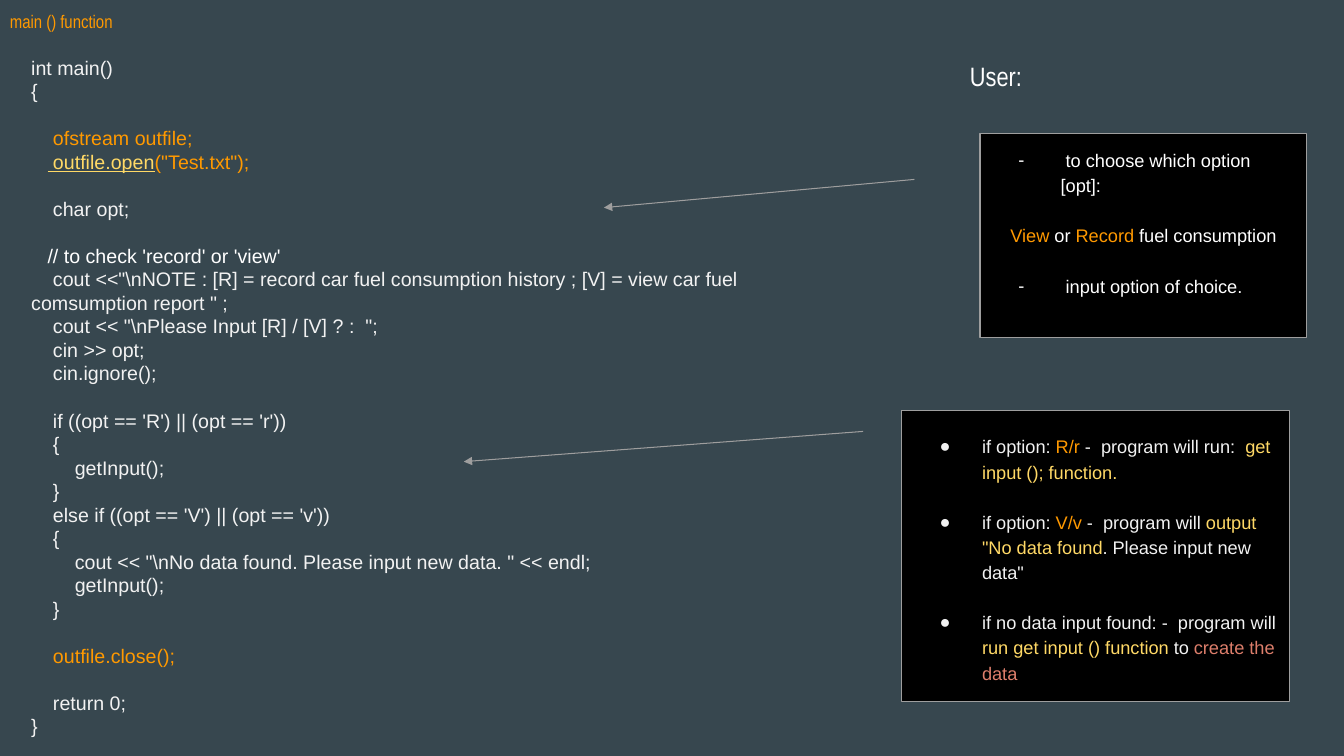
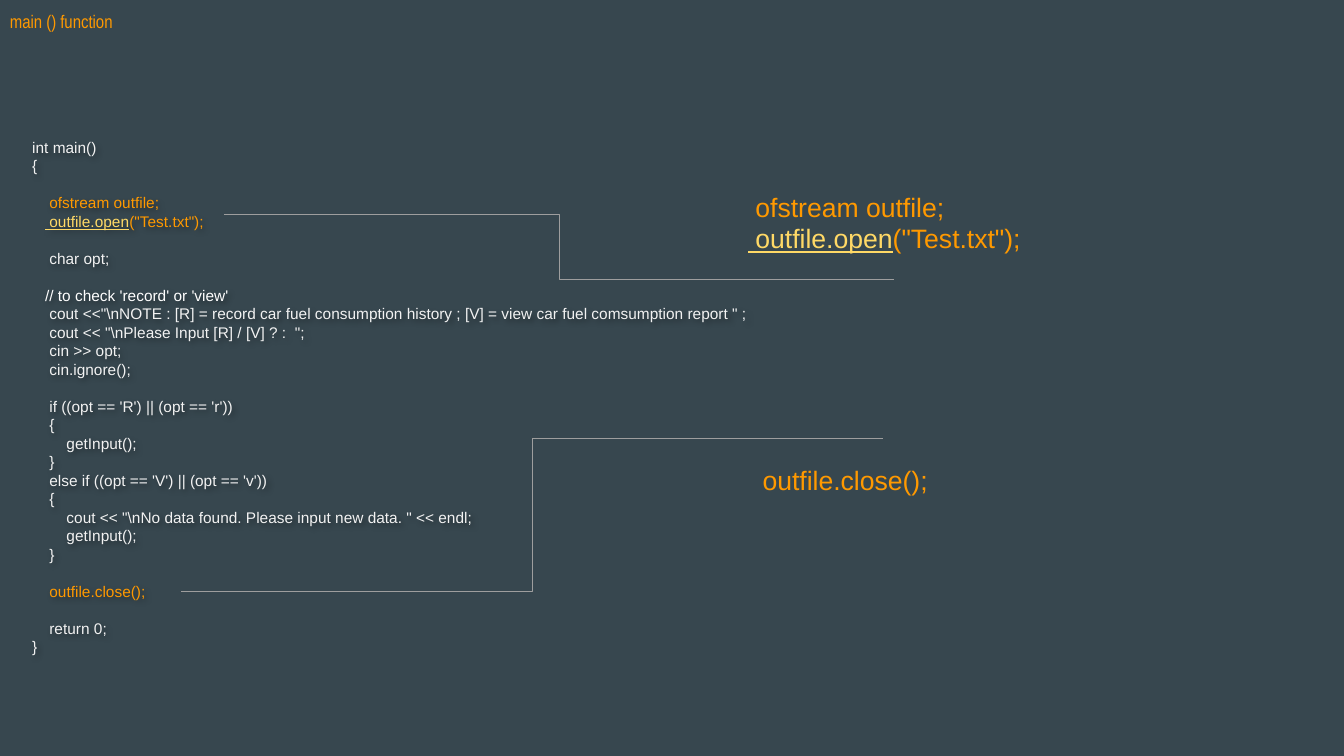
from pptx import Presentation
from pptx.dml.color import RGBColor
from pptx.enum.shapes import MSO_CONNECTOR, MSO_SHAPE
from pptx.enum.text import MSO_ANCHOR, PP_ALIGN
from pptx.oxml import parse_xml
from pptx.oxml.ns import nsdecls
from pptx.util import Inches, Pt

STRAIGHT, ELBOW = MSO_CONNECTOR.STRAIGHT, MSO_CONNECTOR.ELBOW
RECTANGLE = MSO_SHAPE.RECTANGLE
TOP = MSO_ANCHOR.TOP
LEFT, CENTER = PP_ALIGN.LEFT, PP_ALIGN.CENTER

SLATE, BLACK, GREY = "37474F", "000000", "9E9E9E"
WHITE, PALE = "FFFFFF", "F2F2F2"
ORANGE, YELLOW, RED = "FF9900", "FFD966", "DD7E6B"
SPACE_WIDTH = 0.278  # width of an Arial space, in ems
LEADING = 1.2

# Code lines: spaces of indent, blank lines before, then runs (text, colour, underline)
OPEN_FILE = [
    (4, 1, [("ofstream outfile;", ORANGE)]),
    (3, 0, [(" outfile.open", YELLOW, True), ("(\"Test.txt\");", ORANGE)]),
]
CLOSE_FILE = [(4, 1, [("outfile.close();", ORANGE)])]


def plain(indent, text, gap=0, color=PALE):
    return indent, gap, [(text, color)]


MAIN_CODE = [
    plain(0, "int main()"),
    plain(0, "{"),
    *OPEN_FILE,
    plain(4, "char opt;", 1),
    plain(3, "// to check 'record' or 'view'", 1, WHITE),
    plain(4, r'cout <<"\nNOTE : [R] = record car fuel consumption history ; '
             r'[V] = view car fuel comsumption report " ;'),
    plain(4, r'cout << "\nPlease Input [R] / [V] ? :  ";'),
    plain(4, "cin >> opt;"),
    plain(4, "cin.ignore();"),
    plain(4, "if ((opt == 'R') || (opt == 'r'))", 1),
    plain(4, "{"),
    plain(8, "getInput();"),
    plain(4, "}"),
    plain(4, "else if ((opt == 'V') || (opt == 'v'))"),
    plain(4, "{"),
    plain(8, r'cout << "\nNo data found. Please input new data. " << endl;'),
    plain(8, "getInput();"),
    plain(4, "}"),
    *CLOSE_FILE,
    plain(4, "return 0;", 1),
    plain(0, "}"),
]

# Note paragraphs: bullet or None, then runs
USER_NOTES = [
    ("-", [(" to choose which option [opt]:", WHITE)]),
    (None, [("View ", ORANGE), ("or ", WHITE), ("Record ", ORANGE),
            ("fuel consumption", WHITE)]),
    ("-", [(" input option of choice.", WHITE)]),
]
OPTION_NOTES = [
    ("●", [("if option: ", PALE), ("R/r ", ORANGE), ("-  program will run:  ", PALE),
           ("get input (); function.", YELLOW)]),
    ("●", [("if option: ", PALE), ("V/v ", ORANGE), ("-  program will ", PALE),
           ("output \"No data found", YELLOW), (". Please input new data\"", PALE)]),
    ("●", [("if no data input found: -  program will ", PALE),
           ("run get input () function", YELLOW), (" to ", PALE),
           ("create the data", RED)]),
]


def rgb(color):
    return RGBColor.from_string(color)


def box(*lengths):
    return [Inches(n) for n in lengths]


class Deck:
    """Holds the presentation, its style and the current slide."""

    def __init__(self):
        self.prs = Presentation()
        self.prs.slide_width, self.prs.slide_height = box(13.33, 7.5)
        self.s = None

    def slide(self, title):
        self.s = self.prs.slides.add_slide(self.prs.slide_layouts[6])
        fill = self.s.background.fill
        fill.solid()
        fill.fore_color.rgb = rgb(SLATE)
        self.label(title, (0, 0, 3.28, 0.42), 13, ORANGE, 0.1)

    def frame(self, sp, inset, top=None):
        """Prepare the text frame of a shape and return it."""
        tf = sp.text_frame
        side = Inches(inset)
        fmt = {"word_wrap": True, "vertical_anchor": TOP, "margin_left": side,
               "margin_right": side, "margin_bottom": side,
               "margin_top": Inches(inset if top is None else top)}
        for name, value in fmt.items():
            setattr(tf, name, value)
        return tf

    def paragraph(self, tf, first, runs, size, font="Arial", leading=LEADING,
                  gap=0, align=LEFT):
        """Add a paragraph; gap counts the blank lines above it."""
        p = tf.paragraphs[0] if first else tf.add_paragraph()
        pitch = size * leading
        fmt = {"alignment": align, "line_spacing": Pt(pitch),
               "space_before": Pt(0 if first else gap * pitch)}
        for name, value in fmt.items():
            setattr(p, name, value)
        for text, color, *underline in runs:
            r = p.add_run()
            r.text = text
            fmt = {"name": font, "size": Pt(size), "underline": bool(underline)}
            for name, value in fmt.items():
                setattr(r.font, name, value)
            r.font.color.rgb = rgb(color)
        return p

    def label(self, text, at, size, color, inset=0.13):
        tf = self.frame(self.s.shapes.add_textbox(*box(*at)), inset)
        self.paragraph(tf, True, [(text, color)], size, "Arial Narrow")

    def code(self, lines, at, size, shadow=False):
        sp = self.s.shapes.add_textbox(*box(*at))
        tf = self.frame(sp, 0.13)
        for i, (indent, gap, runs) in enumerate(lines):
            p = self.paragraph(tf, i == 0, runs, size, gap=gap)
            first_line = Pt(indent * SPACE_WIDTH * size)
            p._p.get_or_add_pPr().set("indent", str(first_line))
        if shadow:
            sp._element.spPr.append(parse_xml(
                f'<a:effectLst {nsdecls("a")}><a:outerShdw blurRad="50800" dist="38100" '
                'dir="2700000"><a:srgbClr val="000000"><a:alpha val="40000"/>'
                '</a:srgbClr></a:outerShdw></a:effectLst>'))

    def notes(self, items, at, top):
        sp = self.s.shapes.add_shape(RECTANGLE, *box(*at))
        sp.shadow.inherit = False
        sp.fill.solid()
        sp.fill.fore_color.rgb = rgb(BLACK)
        self.outline(sp)
        tf = self.frame(sp, 0.13, top)
        for i, (bullet, runs) in enumerate(items):
            p = self.paragraph(tf, i == 0, runs, 13, leading=1.15 * LEADING, gap=1,
                               align=LEFT if bullet else CENTER)
            if bullet:
                self.bullet(p, bullet, runs[0][1])

    def bullet(self, p, char, color):
        pPr = p._p.get_or_add_pPr()
        pPr.set("marL", str(Inches(0.67)))
        pPr.set("indent", str(Inches(-0.42)))
        for xml in (f'<a:buClr {nsdecls("a")}><a:srgbClr val="{color}"/></a:buClr>',
                    f'<a:buFont {nsdecls("a")} typeface="Arial"/>',
                    f'<a:buChar {nsdecls("a")} char="{char}"/>'):
            pPr.append(parse_xml(xml))

    def outline(self, sp):
        sp.line.color.rgb = rgb(GREY)
        sp.line.width = Pt(0.75)

    def connector(self, kind, start, end, arrow=False):
        sp = self.s.shapes.add_connector(kind, *box(*start, *end))
        self.outline(sp)
        if arrow:
            sp.line._get_or_add_ln().append(
                parse_xml(f'<a:tailEnd {nsdecls("a")} type="triangle"/>'))
        sp._element.spPr.append(parse_xml(f'<a:effectLst {nsdecls("a")}/>'))


def main():
    deck = Deck()

    deck.slide("main () function")
    deck.code(MAIN_CODE, (0.18, 0.42, 7.46, 7.08), 14)
    deck.label("User:", (9.49, 0.46, 0.98, 0.59), 19, WHITE)
    deck.notes(USER_NOTES, (9.72, 1.32, 3.24, 2.03), 0.13)
    deck.notes(OPTION_NOTES, (8.94, 4.07, 3.85, 2.89), 0.22)
    deck.connector(STRAIGHT, (9.07, 1.78), (5.99, 2.06), arrow=True)
    deck.connector(STRAIGHT, (8.56, 4.28), (4.6, 4.58), arrow=True)

    deck.slide("main () function")
    deck.code(MAIN_CODE, (0.19, 1.24, 7.46, 5.64), 11, shadow=True)
    deck.connector(ELBOW, (2.22, 2.13), (8.87, 2.77))
    deck.connector(ELBOW, (1.8, 5.87), (8.76, 4.35))
    deck.code(OPEN_FILE, (7.07, 1.76, 3.33, 0.91), 19)
    deck.code(CLOSE_FILE, (7.14, 4.47, 4.37, 0.59), 19)

    deck.prs.save("out.pptx")


if __name__ == "__main__":
    main()
